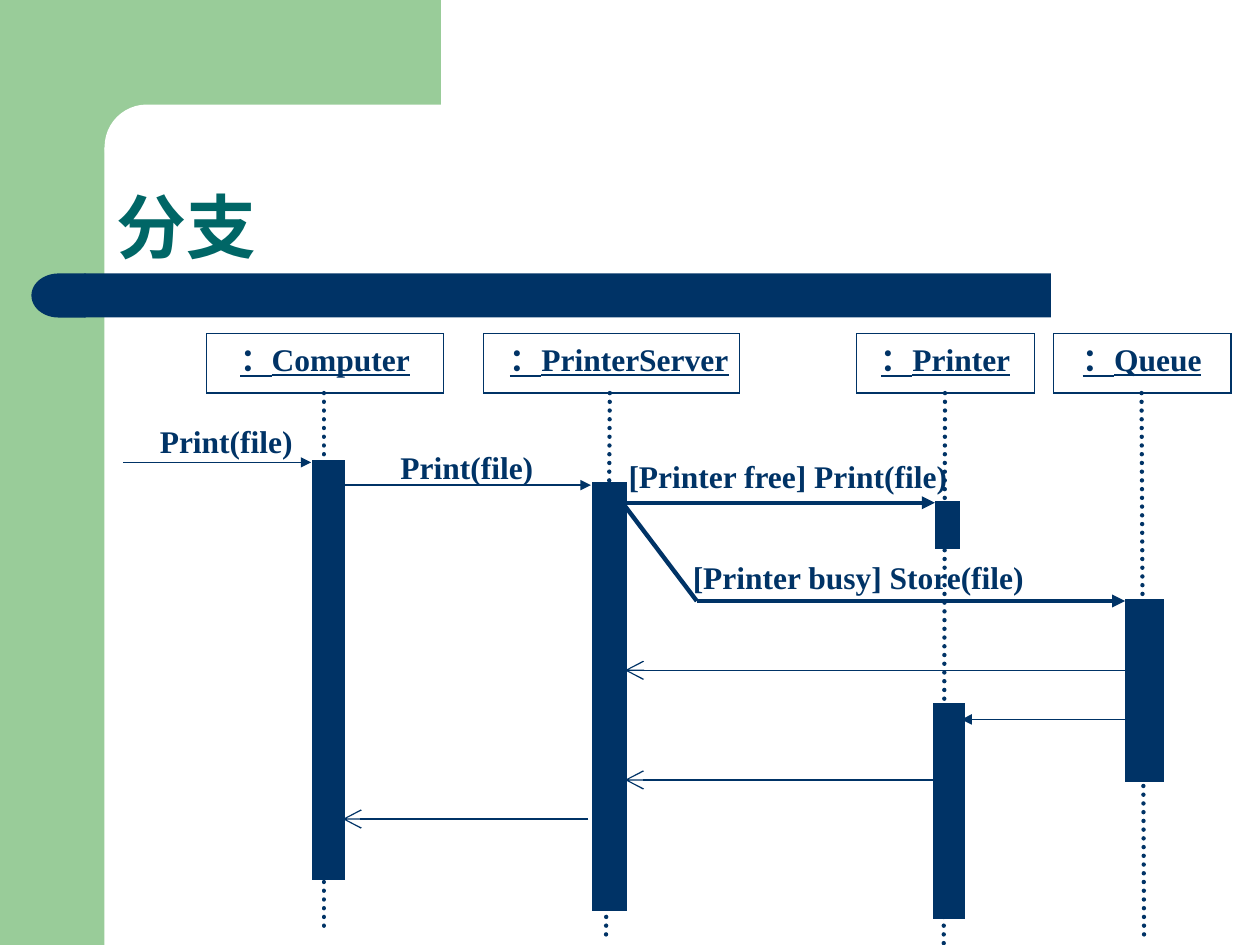
from lxml import etree
from pptx import Presentation
from pptx import util as u
from pptx.dml.color import RGBColor
from pptx.enum import dml, shapes, text
from pptx.oxml.ns import qn

NAVY, GREEN, TEAL, WHITE = "003366", "99CC99", "006666", "FFFFFF"
SERIF, SANS = "Times New Roman", "Noto Sans CJK JP"
THIN, THICK = 0.75, 2.5
HEADER_TOP, HEADER_HEIGHT = 2.65, 0.47
ARROW_SIZES = {"triangle": "med", "arrow": "lg"}

PARTICIPANTS = [
    ("：Computer", (1.64, 1.88), 0, (2.57, 2.57, 7.37), [(2.49, 3.67, 0.23, 3.3)]),
    ("：PrinterServer", (3.84, 2.03), 0.12, (4.84, 4.81, 7.44), [(4.72, 3.84, 0.24, 3.37)]),
    ("：Printer", (6.8, 1.41), 0, (7.5, 7.49, 7.5),
     [(7.44, 3.99, 0.16, 0.35), (7.42, 5.6, 0.22, 1.68)]),
    ("：Queue", (8.36, 1.41), 0, (9.06, 9.08, 7.44), [(8.95, 4.77, 0.27, 1.42)]),
]
MESSAGES = [
    (0.98, 2.47, 3.67, THIN, "triangle"),
    (2.74, 4.69, 3.85, THIN, "triangle"),
    (4.94, 7.42, 3.99, THICK, "triangle"),
    (5.53, 8.93, 4.77, THICK, "triangle"),
    (8.93, 4.96, 5.32, THIN, "arrow"),
    (8.93, 7.63, 5.71, THIN, "triangle"),
    (7.42, 4.96, 6.19, THIN, "arrow"),
    (4.67, 2.72, 6.5, THIN, "arrow"),
]
LABELS = [
    ("Print(file)", (1.17, 3.3, 1.25, 0.4)),
    ("Print(file)", (3.08, 3.51, 1.25, 0.4)),
    ("[Printer free] Print(file)", (4.89, 3.58, 2.8, 0.4)),
    ("[Printer busy] Store(file)", (5.4, 4.38, 2.9, 0.4)),
]


def color(value):
    return RGBColor.from_string(value)


def add_block(slide, kind, box, fill=None, line=None, width=THIN):
    shape = slide.shapes.add_shape(kind, *map(u.Inches, box))
    shape.shadow.inherit = False
    if fill:
        shape.fill.solid()
        shape.fill.fore_color.rgb = color(fill)
    else:
        shape.fill.background()
    if line:
        shape.line.color.rgb = color(line)
        shape.line.width = u.Pt(width)
        etree.SubElement(shape.line._get_or_add_ln(), qn("a:miter"), lim="800000")
    else:
        shape.line.fill.background()
    return shape


def add_line(slide, start, end, width, dotted=False, arrow=None):
    connector = slide.shapes.add_connector(
        shapes.MSO_CONNECTOR.STRAIGHT, *map(u.Inches, (*start, *end)))
    connector.line.color.rgb = color(NAVY)
    connector.line.width = u.Pt(width)
    outline = connector.line._get_or_add_ln()
    if dotted:
        connector.line.dash_style = dml.MSO_LINE.ROUND_DOT
        outline.set("cap", "rnd")
    if arrow:
        size = ARROW_SIZES[arrow]
        etree.SubElement(outline, qn("a:tailEnd"), type=arrow, w=size, len=size)
    etree.SubElement(connector._element.spPr, qn("a:effectLst"))


def write(shape, words, size, font_name, font_color):
    paragraph = shape.text_frame.paragraphs[0]
    paragraph.text = words
    font = paragraph.font
    font.size = u.Pt(size)
    font.name = font_name
    font.bold = True
    font.color.rgb = color(font_color)
    return paragraph


def add_backdrop(slide):
    kinds = shapes.MSO_SHAPE
    add_block(slide, kinds.RECTANGLE, (0, 0, 0.83, 7.5), GREEN)
    add_block(slide, kinds.RECTANGLE, (0.75, 0, 2.75, 1.17), GREEN)
    panel = add_block(slide, kinds.ROUNDED_RECTANGLE, (0.83, 0.83, 5.58, 0.67), WHITE)
    panel.adjustments[0] = 0.5
    add_block(slide, kinds.RECTANGLE, (0.67, 2.17, 7.67, 0.35), NAVY)
    cap = add_block(slide, kinds.FLOWCHART_DELAY, (0.25, 2.17, 0.43, 0.35), NAVY)
    cap._element.spPr.xfrm.set("flipH", "1")


def add_title(slide, box, words):
    title = slide.shapes.add_textbox(*map(u.Inches, box))
    title.text_frame.word_wrap = True
    title.text_frame.vertical_anchor = text.MSO_ANCHOR.BOTTOM
    paragraph = write(title, words, 40, SANS, TEAL)
    paragraph.line_spacing = 0.9
    defaults = paragraph._p.get_or_add_pPr().find(qn("a:defRPr"))
    etree.SubElement(defaults, qn("a:ea"), typeface=SANS)


def add_participant(slide, name, span, indent, lifeline, activations):
    left, width = span
    header = add_block(slide, shapes.MSO_SHAPE.RECTANGLE,
                       (left, HEADER_TOP, width, HEADER_HEIGHT), line=NAVY)
    frame = header.text_frame
    frame.word_wrap = True
    frame.vertical_anchor = text.MSO_ANCHOR.TOP
    frame.margin_left, frame.margin_right = u.Inches(indent), 0
    paragraph = write(header, name, 18, SERIF, NAVY)
    paragraph.alignment = text.PP_ALIGN.CENTER
    paragraph.font.underline = True
    top_x, bottom_x, bottom = lifeline
    add_line(slide, (top_x, HEADER_TOP + HEADER_HEIGHT), (bottom_x, bottom), THICK, dotted=True)
    for box in activations:
        add_block(slide, shapes.MSO_SHAPE.RECTANGLE, box, NAVY, NAVY, THICK)


def add_message(slide, start, end, y, width, arrow):
    add_line(slide, (start, y), (end, y), width, arrow=arrow)


def add_label(slide, words, box):
    label = slide.shapes.add_textbox(*map(u.Inches, box))
    label.text_frame.word_wrap = False
    label.text_frame.margin_right = 0
    write(label, words, 18, SERIF, NAVY)


def main():
    presentation = Presentation()
    presentation.slide_width, presentation.slide_height = u.Inches(10), u.Inches(7.5)
    slide = presentation.slides.add_slide(presentation.slide_layouts[6])
    add_backdrop(slide)
    add_title(slide, (0.83, 1.55, 8.5, 0.63), "分支")
    for participant in PARTICIPANTS:
        add_participant(slide, *participant)
    for message in MESSAGES:
        add_message(slide, *message)
    add_line(slide, (4.94, 3.99), (5.53, 4.77), THICK)
    for label in LABELS:
        add_label(slide, *label)
    presentation.save("out.pptx")


if __name__ == "__main__":
    main()
